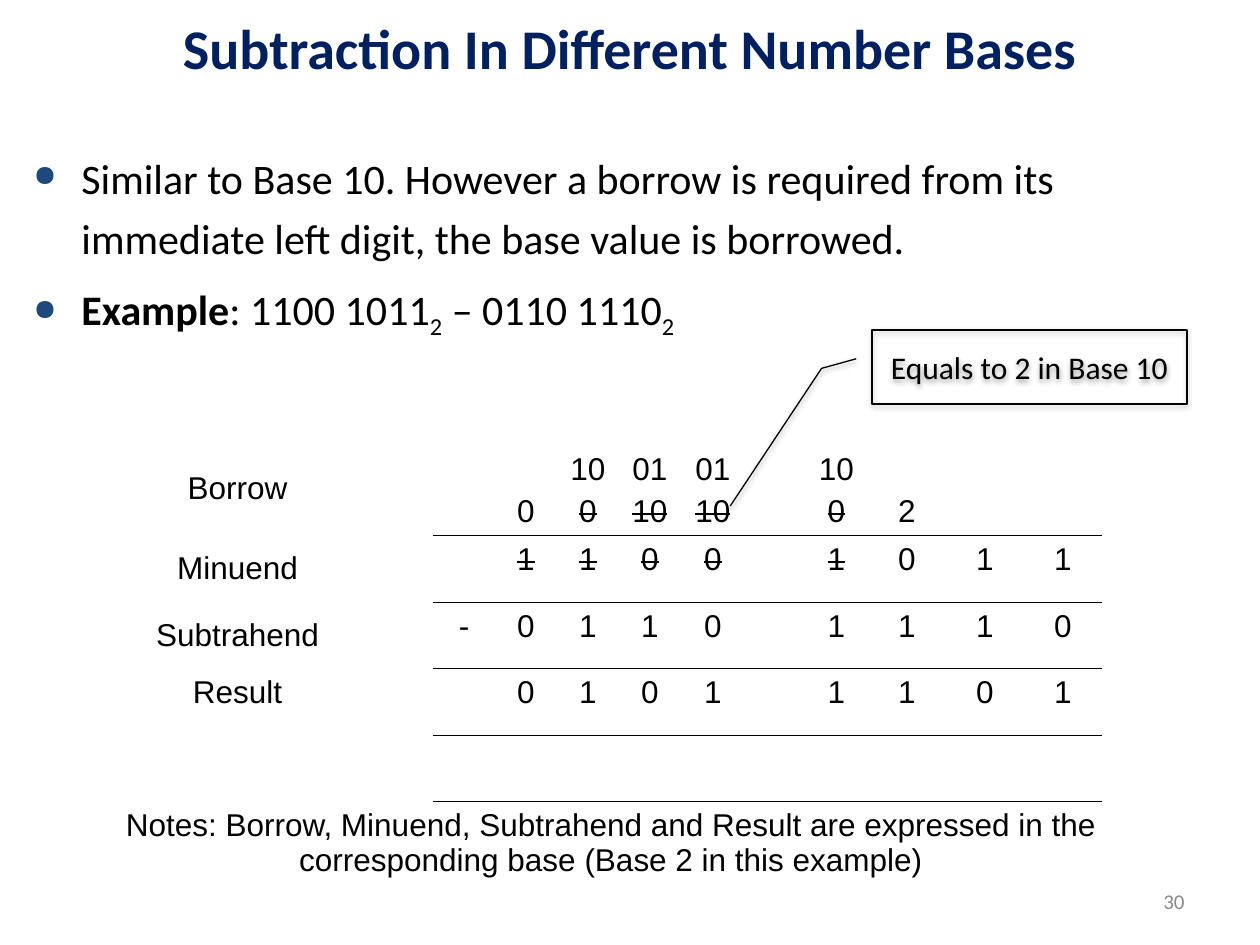
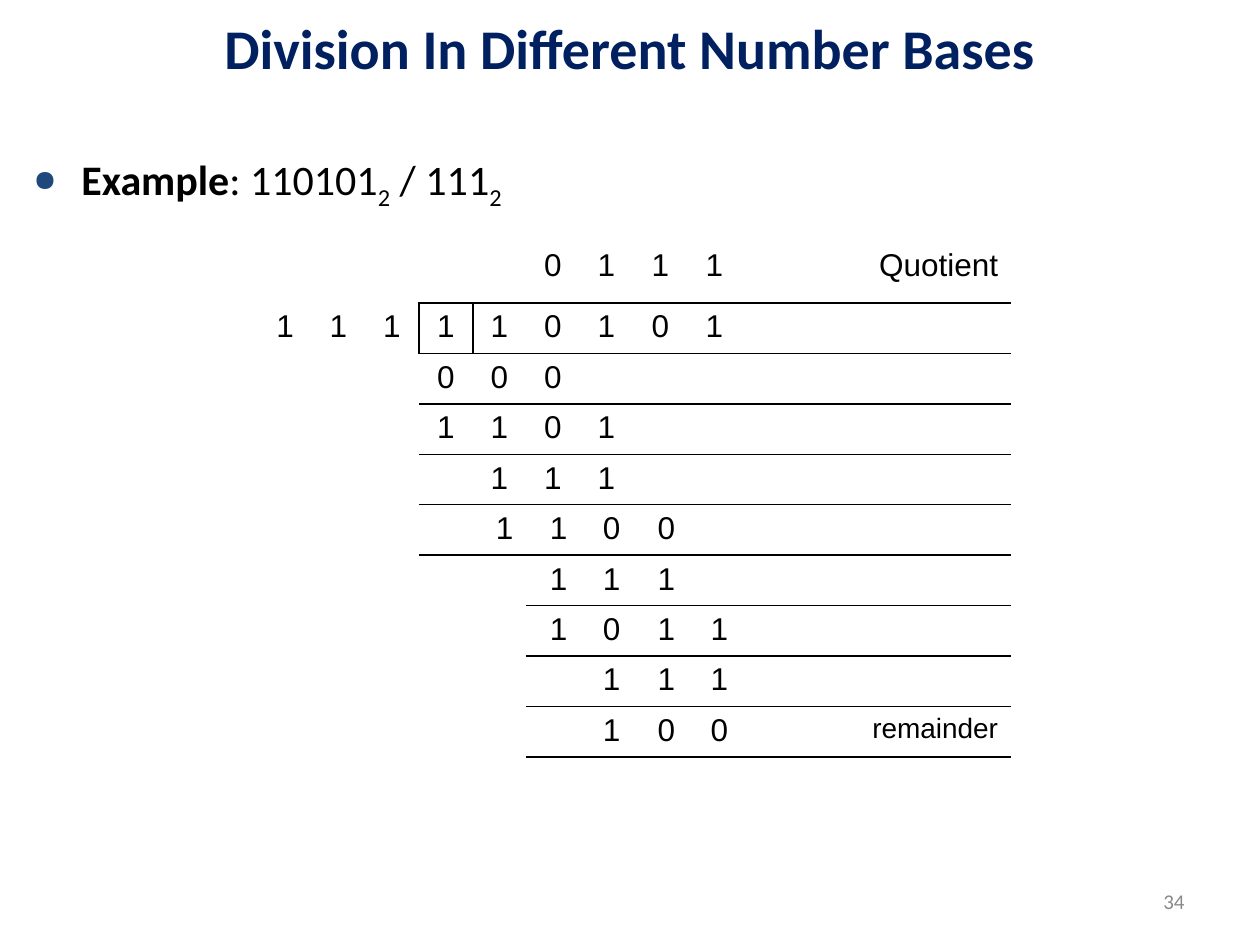
from lxml.etree import SubElement as Sub
from pptx import Presentation
from pptx.dml.color import RGBColor as Rgb
from pptx.enum.shapes import MSO_SHAPE as Kind
from pptx.enum.text import MSO_ANCHOR as Hold, PP_ALIGN as Side
from pptx.oxml import parse_xml
from pptx.oxml.ns import nsdecls, qn
from pptx.util import Emu, Pt

SCALE = 914400 / 126
INK = dict(title="002060", text="000000", bullet="1F497D", page="898989")
PLAIN = "{2D5ABB26-0587-4C30-8999-92F81FD0307C}"
EDGES = "LRTB"
BOLD = dict(bold=True)
SUB = dict(baseline="-25000")
STRIKE = dict(strike="sngStrike")


def px(n):
    return Emu(round(n * SCALE))


def apply(item, values):
    for name, value in values.items():
        setattr(item, name, value)


class Deck:
    def __init__(self):
        self.file = Presentation()
        apply(self.file, dict(slide_width=px(1260), slide_height=px(945)))

    def page(self, title, number):
        self.slide = self.file.slides.add_slide(self.file.slide_layouts[6])
        self.shapes = self.slide.shapes
        self.label(title, (0, 0, 1260, 95), Side.CENTER, 32, "title", BOLD)
        self.label(str(number), (903, 876, 294, 50), Side.RIGHT, 12, "page")

    def run(self, para, text, size, ink="text", face="Calibri", look=None):
        run = para.add_run()
        run.text = text
        apply(run.font, dict(size=Pt(size), name=face))
        run.font.color.rgb = Rgb.from_string(INK[ink])
        for name, value in (look or {}).items():
            if name == "bold":
                run.font.bold = value
            else:
                run.font._element.set(name, value)

    def box(self, area, hold):
        frame = self.shapes.add_textbox(*map(px, area)).text_frame
        apply(frame, dict(word_wrap=True, vertical_anchor=hold))
        return frame

    def label(self, text, area, side, size, ink, look=None):
        para = self.box(area, Hold.MIDDLE).paragraphs[0]
        para.alignment = side
        self.run(para, text, size, ink, look=look)

    def bullets(self, items, high):
        frame = self.box((21, 136, 1229, high), Hold.TOP)
        for i, item in enumerate(items):
            para = frame.add_paragraph() if i else frame.paragraphs[0]
            props = para._p.get_or_add_pPr()
            props.set("marL", str(px(48)))
            props.set("indent", str(px(-48)))
            tint = Sub(props, qn("a:buClr"))
            Sub(tint, qn("a:srgbClr"), val=INK["bullet"])
            Sub(props, qn("a:buSzPct"), val="70000")
            Sub(props, qn("a:buChar"), char="●")
            para.line_spacing = 1.2
            if i:
                para.space_before = Pt(4.8)
            for text, look in item:
                self.run(para, text, 24, look=look)

    def callout(self, text, area, bends):
        shape = self.shapes.add_shape(Kind.LINE_CALLOUT_2, *map(px, area))
        for i, bend in enumerate(bends):
            shape.adjustments[i] = bend
        shape.fill.background()
        shape.line.color.rgb = Rgb.from_string(INK["text"])
        shape.line.width = Pt(0.75)
        shape.shadow.inherit = False
        shape._element.spPr.find(qn("a:effectLst")).append(parse_xml(
            f'<a:outerShdw {nsdecls("a")} blurRad="{Pt(3.1)}" dist="{Pt(1.6)}" '
            f'dir="5400000" rotWithShape="0"><a:srgbClr val="{INK["text"]}">'
            '<a:alpha val="38000"/></a:srgbClr></a:outerShdw>'))
        frame = shape.text_frame
        apply(frame, dict(word_wrap=True, vertical_anchor=Hold.MIDDLE))
        para = frame.paragraphs[0]
        para.alignment = Side.CENTER
        self.run(para, text, 18)

    def grid(self, spot, cols, highs, rows, style):
        area = (*spot, sum(cols), sum(highs))
        frame = self.shapes.add_table(len(highs), len(cols), *map(px, area))
        table = frame.table
        apply(table, dict(first_row=False, horz_banding=False))
        table._tbl.tblPr.find(qn("a:tableStyleId")).text = PLAIN
        for col, wide in zip(table.columns, cols):
            col.width = px(wide)
        for row, high in zip(table.rows, highs):
            row.height = px(high)
        for cell in table.iter_cells():
            cell.fill.background()
        for r, line in enumerate(rows):
            words = line.split(";")
            words += [""] * (len(cols) - len(words))
            for c, text in enumerate(words):
                self.fill(table.cell(r, c), text, *style(r, c))
        return table

    def fill(self, cell, text, side, hold, size):
        if not text:
            apply(cell, dict(margin_top=0, margin_bottom=0))
            return
        cell.vertical_anchor = hold
        frame = cell.text_frame
        for i, part in enumerate(text.split("|")):
            para = frame.add_paragraph() if i else frame.paragraphs[0]
            para.alignment = side
            if i:
                para.space_before = Pt(3.6)
            look = STRIKE if part.startswith("~") else None
            self.run(para, part.lstrip("~"), size, face="Arial", look=look)

    def edge(self, cell, side):
        props = cell._tc.get_or_add_tcPr()
        before = [qn("a:ln" + s) for s in EDGES[:EDGES.index(side)]]
        line = parse_xml(
            f'<a:ln{side} {nsdecls("a")} w="{Pt(1)}"><a:solidFill>'
            f'<a:srgbClr val="{INK["text"]}"/></a:solidFill></a:ln{side}>')
        props.insert(sum(kid.tag in before for kid in props), line)

    def rule(self, table, row, first, last):
        for c in range(first, last + 1):
            self.edge(table.cell(row - 1, c), "B")
            self.edge(table.cell(row, c), "T")


def minus(deck):
    deck.page("Subtraction In Different Number Bases", 30)

    def style(r, c):
        hold = Hold.TOP
        if c == 0 and r < 3:
            hold = Hold.MIDDLE
        elif r == 0:
            hold = Hold.BOTTOM
        return Side.CENTER, hold, 18

    rows = [
        "Borrow;;0;10|~0;01|~10;01|~10;;10|~0;2",
        "Minuend;;~1;~1;~0;~0;;~1;0;1;1",
        "Subtrahend;-;0;1;1;0;;1;1;1;0",
        "Result;;0;1;0;1;;1;1;0;1",
        "",
        "Notes: Borrow, Minuend, Subtrahend and Result are expressed in the "
        "corresponding base (Base 2 in this example)",
    ]
    cols = [391] + [62] * 4 + [64, 60, 63] + [78] * 4
    table = deck.grid((42, 441), cols, [89, 67, 66, 67, 66, 95], rows, style)
    table.cell(5, 0).merge(table.cell(5, 11))
    for row in (1, 3, 4):
        deck.rule(table, row, 1, 10)
    deck.bullets([
        [("Similar to Base 10. However a borrow is required from its "
          "immediate left digit, the base value is borrowed.", None)],
        [("Example", BOLD), (": 1100 1011", None), ("2", SUB),
         (" – 0110 1110", None), ("2", SUB)],
    ], 231)
    deck.callout("Equals to 2 in Base 10", (872, 330, 315, 74),
                 (0.39, -0.05, 0.52, -0.16, 2.38, -0.45))


def divide(deck):
    deck.page("Division In Different Number Bases", 34)

    def style(r, c):
        right = r > 4 or c == 10
        size = 16 if (r, c) == (9, 10) else 18
        return Side.RIGHT if right else Side.CENTER, Hold.TOP, size

    rows = [
        ";;;;;0;1;1;1;;Quotient",
        "1;1;1;1;1;0;1;0;1",
        ";;;0;0;0",
        ";;;1;1;0;1",
        ";;;;1;1;1",
        ";;;;1;1;0;0",
        ";;;;;1;1;1",
        ";;;;;1;0;1;1",
        ";;;;;;1;1;1",
        ";;;;;;1;0;0;;remainder",
        "",
    ]
    cols = [54, 53, 54, 54, 53, 54, 53, 55, 53, 54, 67, 83, 66]
    table = deck.grid((258, 242), cols, [61] + [48] * 9 + [88], rows, style)
    for row, first in ((0, 10), (9, 10), (10, 0)):
        table.cell(row, first).merge(table.cell(row, 12))
    for row in range(1, 10, 2):
        deck.rule(table, row, 3 if row < 6 else 5, 12)
    deck.edge(table.cell(1, 2), "R")
    deck.edge(table.cell(1, 3), "L")
    deck.bullets([
        [("Example", BOLD), (": 110101", None), ("2", SUB),
         (" / 111", None), ("2", SUB)],
    ], 136)


def main():
    deck = Deck()
    minus(deck)
    divide(deck)
    deck.file.save("out.pptx")


if __name__ == "__main__":
    main()
